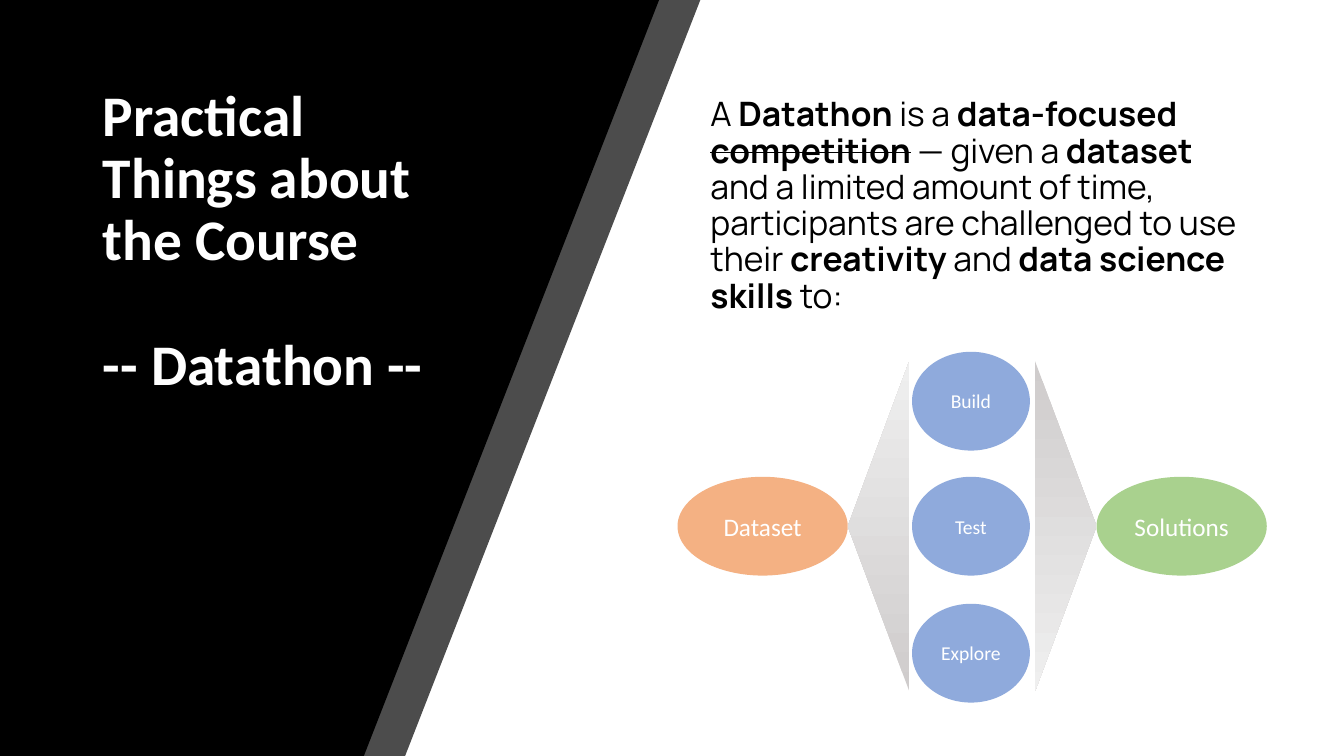
from dataclasses import dataclass

from lxml import etree
from pptx import Presentation
from pptx.dml.color import RGBColor
from pptx.enum.shapes import MSO_SHAPE
from pptx.enum.text import MSO_ANCHOR, MSO_AUTO_SIZE, PP_ALIGN
from pptx.oxml.ns import qn
from pptx.shapes.autoshape import Shape
from pptx.slide import Slide
from pptx.util import Cm, Pt

ELLIPSE = MSO_SHAPE.OVAL
TRIANGLE = MSO_SHAPE.ISOSCELES_TRIANGLE
MIDDLE = MSO_ANCHOR.MIDDLE
NO_AUTOFIT = MSO_AUTO_SIZE.NONE
LEFT, CENTER = PP_ALIGN.LEFT, PP_ALIGN.CENTER

BLACK = RGBColor(0x00, 0x00, 0x00)
WHITE = RGBColor(0xFF, 0xFF, 0xFF)
ORANGE = RGBColor(0xF4, 0xB1, 0x83)
BLUE = RGBColor(0x8F, 0xAA, 0xDC)
GREEN = RGBColor(0xA9, 0xD1, 0x8E)
DARK_GREY = RGBColor(0xCF, 0xCC, 0xCC)
LIGHT_GREY = RGBColor(0xEF, 0xEF, 0xEF)

TITLE_FONT = "Calibri"
BODY_FONT = "Manrope"
SLIDE_WIDTH, SLIDE_HEIGHT = 33.87, 19.05
ELLIPSE_HEIGHT = 2.49
MIDDLE_ROW = 13.26
FAN_LENGTH, FAN_DEPTH = 8.31, 1.55


@dataclass(frozen=True)
class Panel:
    top_width: float
    bottom_width: float
    opacity: int


@dataclass(frozen=True)
class Node:
    label: str
    center_x: float
    center_y: float
    width: float
    size: int
    color: RGBColor


@dataclass(frozen=True)
class Fan:
    center_x: float
    rotation: int


@dataclass(frozen=True)
class Phrase:
    text: str
    bold: bool = False
    strike: bool = False


PANELS = [Panel(17.65, 10.21, 70), Panel(16.61, 9.17, 100)]
NODES = [
    Node("Dataset", 19.22, MIDDLE_ROW, 4.29, 18, ORANGE),
    Node("Build", 24.47, 10.11, 2.97, 14, BLUE),
    Node("Test", 24.47, MIDDLE_ROW, 2.97, 14, BLUE),
    Node("Explore", 24.47, 16.46, 2.97, 14, BLUE),
    Node("Solutions", 29.78, MIDDLE_ROW, 4.29, 18, GREEN),
]
FANS = [Fan(22.14, 270), Fan(26.86, 90)]
TITLE_LINES = ["Practical Things about the Course", "-- Datathon --"]
DEFINITION = [
    Phrase("A "),
    Phrase("Datathon", bold=True),
    Phrase(" is a "),
    Phrase("data-focused ", bold=True),
    Phrase("competition", bold=True, strike=True),
    Phrase(" — given a "),
    Phrase("dataset", bold=True),
    Phrase(" and a limited amount of time, participants are challenged to use their "),
    Phrase("creativity", bold=True),
    Phrase(" and "),
    Phrase("data science skills ", bold=True),
    Phrase("to:"),
]


def add_panel(slide: Slide, panel: Panel) -> None:
    """Draw a full-height panel with a slanted right edge."""
    builder = slide.shapes.build_freeform(Cm(panel.top_width), 0)
    builder.add_line_segments(
        [(0, 0), (0, Cm(SLIDE_HEIGHT)), (Cm(panel.bottom_width), Cm(SLIDE_HEIGHT))]
    )
    shape = builder.convert_to_shape()
    shape.shadow.inherit = False
    shape.line.fill.background()
    shape.fill.solid()
    shape.fill.fore_color.rgb = BLACK
    if panel.opacity < 100:
        color = shape._element.spPr.find(qn("a:solidFill"))[0]
        etree.SubElement(color, qn("a:alpha")).set("val", str(panel.opacity * 1000))


def place(shape: Shape, left: float, top: float, width: float, height: float) -> None:
    """Position a placeholder and centre its text vertically."""
    shape.left, shape.top = Cm(left), Cm(top)
    shape.width, shape.height = Cm(width), Cm(height)
    shape.text_frame.word_wrap = True
    shape.text_frame.auto_size = NO_AUTOFIT
    shape.text_frame.vertical_anchor = MIDDLE


def fill_title(title: Shape) -> None:
    place(title, 2.34, 1.96, 9.8, 8.28)
    title.text_frame.text = "\n".join(TITLE_LINES)
    for index, paragraph in enumerate(title.text_frame.paragraphs):
        paragraph.alignment = LEFT
        paragraph.line_spacing = 0.9
        paragraph.space_before = Pt(45 * index)
        font = paragraph.runs[0].font
        font.name, font.size, font.bold = TITLE_FONT, Pt(41), True
        font.color.rgb = WHITE


def fill_definition(body: Shape) -> None:
    place(body, 17.65, 1.52, 14.27, 7.37)
    paragraph = body.text_frame.paragraphs[0]
    properties = paragraph._p.get_or_add_pPr()
    properties.set("marL", "0")
    properties.set("indent", "0")
    etree.SubElement(properties, qn("a:buNone"))
    paragraph.alignment = LEFT
    paragraph.line_spacing = 0.9
    paragraph.space_before = Pt(0)
    for phrase in DEFINITION:
        run = paragraph.add_run()
        run.text = phrase.text
        run.font.name, run.font.size, run.font.bold = BODY_FONT, Pt(24), phrase.bold
        run.font.color.rgb = BLACK
        if phrase.strike:
            run._r.get_or_add_rPr().set("strike", "sngStrike")


def add_centered(
    slide: Slide, kind: MSO_SHAPE, center_x: float, center_y: float, width: float, height: float
) -> Shape:
    """Add a shape without line or shadow around a centre point."""
    shape = slide.shapes.add_shape(
        kind, Cm(center_x - width / 2), Cm(center_y - height / 2), Cm(width), Cm(height)
    )
    shape.shadow.inherit = False
    shape.line.fill.background()
    return shape


def add_node(slide: Slide, node: Node) -> None:
    shape = add_centered(
        slide, ELLIPSE, node.center_x, node.center_y, node.width, ELLIPSE_HEIGHT
    )
    shape.fill.solid()
    shape.fill.fore_color.rgb = node.color
    frame = shape.text_frame
    frame.margin_left = frame.margin_right = 0
    frame.vertical_anchor = MIDDLE
    frame.text = node.label
    paragraph = frame.paragraphs[0]
    paragraph.alignment = CENTER
    font = paragraph.runs[0].font
    font.name, font.size = TITLE_FONT, Pt(node.size)
    font.color.rgb = WHITE


def add_fan(slide: Slide, fan: Fan) -> None:
    shape = add_centered(slide, TRIANGLE, fan.center_x, MIDDLE_ROW, FAN_LENGTH, FAN_DEPTH)
    shape.rotation = fan.rotation
    shape.fill.gradient()
    shape.fill.gradient_angle = 0
    for stop, color in zip(shape.fill.gradient_stops, (DARK_GREY, LIGHT_GREY)):
        stop.color.rgb = color


def main() -> None:
    presentation = Presentation()
    presentation.slide_width = Cm(SLIDE_WIDTH)
    presentation.slide_height = Cm(SLIDE_HEIGHT)
    slide = presentation.slides.add_slide(presentation.slide_layouts[1])
    title, body = slide.placeholders
    for panel in PANELS:
        add_panel(slide, panel)
    for placeholder in (title, body):
        slide.shapes._spTree.append(placeholder._element)
    fill_title(title)
    fill_definition(body)
    for node in NODES:
        add_node(slide, node)
    for fan in FANS:
        add_fan(slide, fan)
    presentation.save("out.pptx")


if __name__ == "__main__":
    main()
